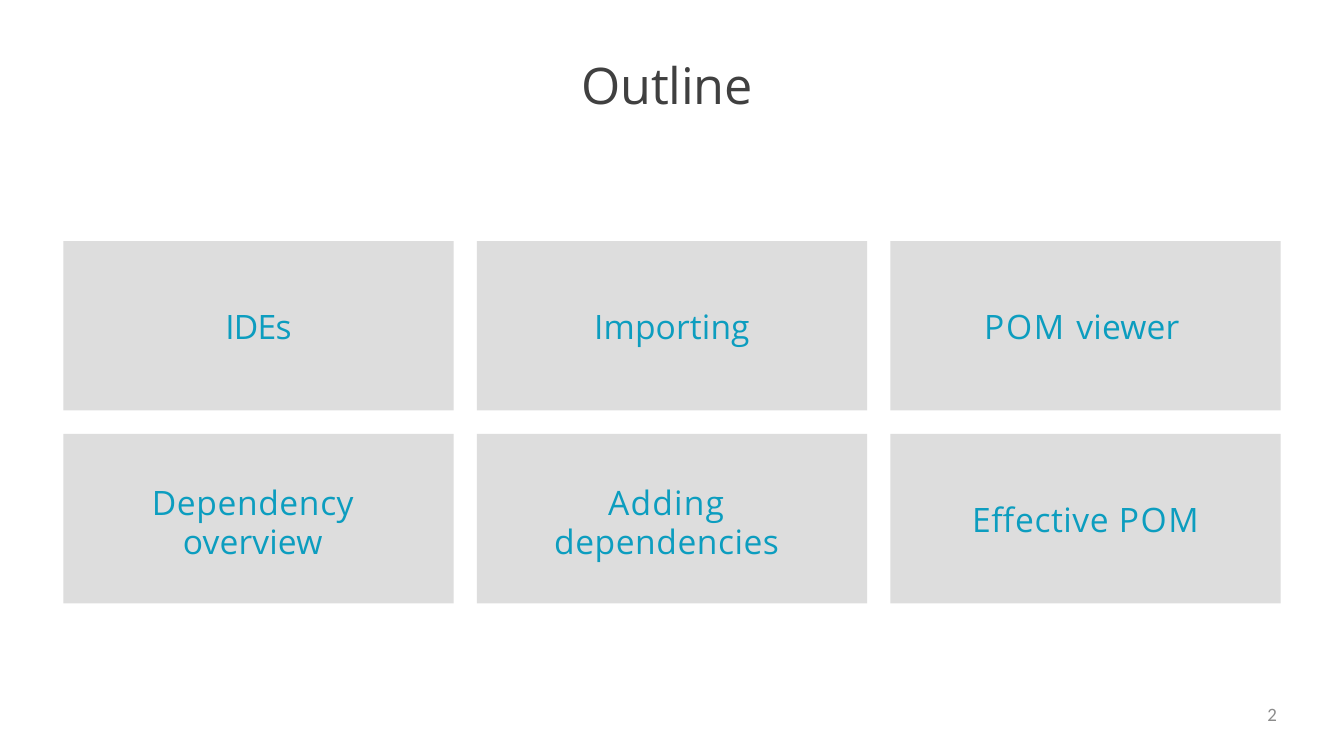
from pptx import Presentation
from pptx.dml.color import RGBColor
from pptx.enum.shapes import MSO_SHAPE
from pptx.enum.text import MSO_ANCHOR, PP_ALIGN
from pptx.util import Pt

RECTANGLE = MSO_SHAPE.RECTANGLE
TOP, MIDDLE = MSO_ANCHOR.TOP, MSO_ANCHOR.MIDDLE
LEFT, CENTER, RIGHT = PP_ALIGN.LEFT, PP_ALIGN.CENTER, PP_ALIGN.RIGHT

CARD_LEFT, CARD_TOP = 60.5, 229.7
CARD_WIDTH, CARD_HEIGHT = 371.5, 161.3
CARD_GAP = 22.3
COLUMNS = 3

# Each topic: lines of (text, letter spacing) spans, then right and top insets
TOPICS = [
    ([[("IDEs", -0.7)]], 0, 0),
    ([[("Importing", 0.1)]], 0, 0),
    ([[("POM ", 1.6), ("viewer", 0.1)]], 7, 0),
    ([[("Dependen", 0.6), ("c", 0.2), ("y", 0.1)], [("overview", 0.1)]], 11, 6),
    ([[("Adding", 1.1)], [("dependencies", 0.5)]], 10, 6),
    ([[("Effective ", 0.5), ("POM", 1.6)]], 0, 0),
]


def color(value):
    return RGBColor.from_string(value)


def write_text(shape, lines, font, size, hue, align, anchor, right=0, top=0):
    frame = shape.text_frame
    frame.word_wrap = True
    frame.vertical_anchor = anchor
    frame.margin_left = frame.margin_bottom = Pt(0)
    frame.margin_right, frame.margin_top = Pt(right), Pt(top)
    para = frame.paragraphs[0]
    para.alignment = align
    para.font.name, para.font.size = font, Pt(size)
    para.font.color.rgb = color(hue)
    for index, line in enumerate(lines):
        if index:
            para.add_line_break()
        for text, spacing in line:
            span = para.add_run()
            span.text = text
            if spacing:
                span._r.get_or_add_rPr().set("spc", str(round(spacing * 100)))
    return para


def add_label(page, left, top, width, height, text, font, size, hue, align, spacing=0):
    box = page.shapes.add_textbox(Pt(left), Pt(top), Pt(width), Pt(height))
    return write_text(box, [[(text, spacing)]], font, size, hue, align, TOP)


def add_card(page, left, top, lines, right_inset, top_inset):
    card = page.shapes.add_shape(
        RECTANGLE, Pt(left), Pt(top), Pt(CARD_WIDTH), Pt(CARD_HEIGHT))
    card.shadow.inherit = False
    card.fill.solid()
    card.fill.fore_color.rgb = color("DDDDDD")
    card.line.fill.background()
    para = write_text(card, lines, "Open Sans", 32, "0C9DBF", CENTER, MIDDLE,
                      right_inset, top_inset)
    if len(lines) > 1:
        para.line_spacing = Pt(38)


def main():
    deck = Presentation()
    deck.slide_width, deck.slide_height = Pt(1280), Pt(720)
    page = deck.slides.add_slide(deck.slide_layouts[6])

    # Title
    title = add_label(page, 553.7, 51.1, 172.8, 59.8, "Outline",
                      "Open Sans", 48, "404040", LEFT, -0.2)
    title.space_before = Pt(1)

    # Grid of topics
    for index, (lines, right_inset, top_inset) in enumerate(TOPICS):
        row, column = divmod(index, COLUMNS)
        add_card(page, CARD_LEFT + column * (CARD_WIDTH + CARD_GAP),
                 CARD_TOP + row * (CARD_HEIGHT + CARD_GAP),
                 lines, right_inset, top_inset)

    # Page number
    add_label(page, 921.6, 669.6, 294.5, 36, "2", "Calibri", 18, "8C8C8C", RIGHT)

    deck.save("out.pptx")


main()
